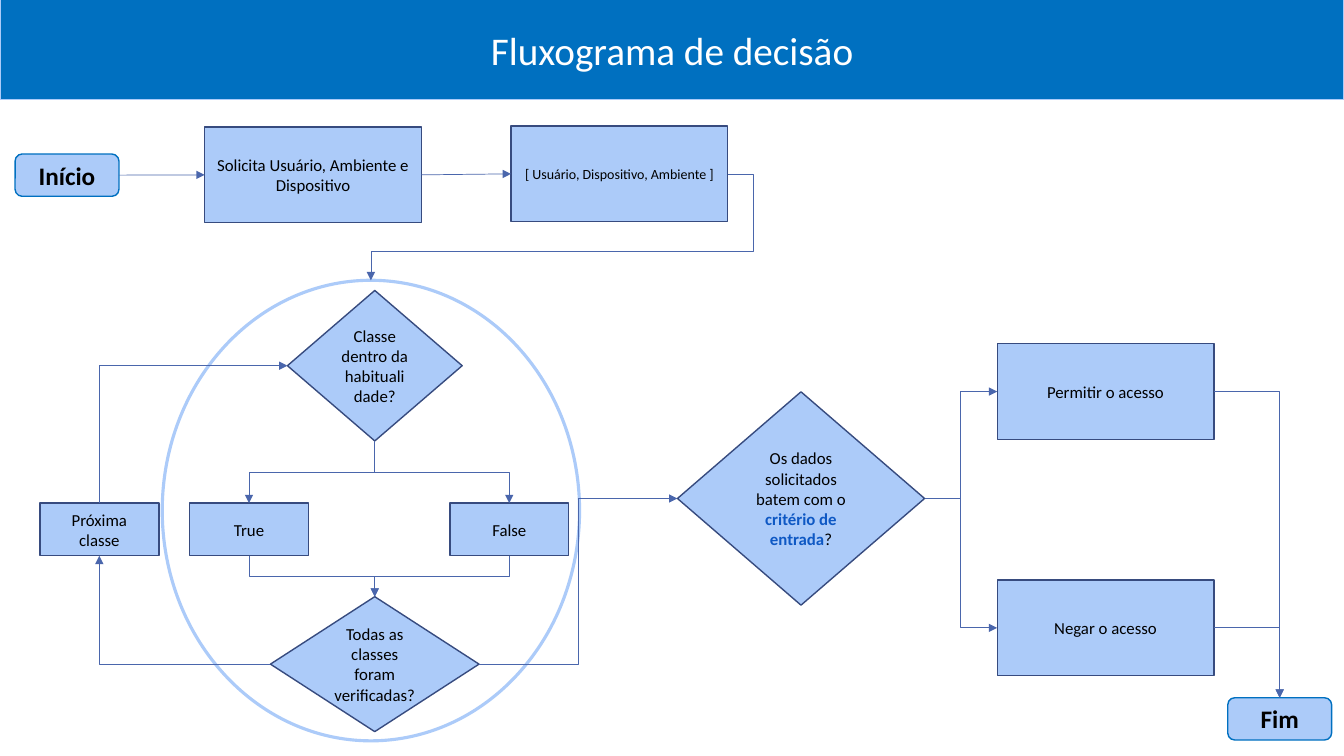
from typing import NamedTuple

from lxml import etree
from pptx import Presentation
from pptx.dml import color
from pptx.enum import shapes, text
from pptx.oxml import ns
from pptx.util import Pt

LIGHT, NAVY, BLUE, ARROW = "ACCBF9", "374B7F", "0070C0", "4A66AC"
BLACK, WHITE, ACCENT = "000000", "FFFFFF", "0E58C4"
TOP, LEFT, BOTTOM, RIGHT = range(4)
RECT = shapes.MSO_SHAPE.RECTANGLE
ROUND = shapes.MSO_SHAPE.ROUNDED_RECTANGLE
DIAMOND = shapes.MSO_SHAPE.DIAMOND
OVAL = shapes.MSO_SHAPE.OVAL
TERMINAL, STEP, SMALL = (74.2, 30.2), (154.8, 68.4), (85, 37.6)
SMALL_TOP = 359.4


class Run(NamedTuple):
    text: str
    color: str = BLACK
    bold: bool = False


class Node(NamedTuple):
    name: str
    kind: shapes.MSO_SHAPE
    left: float
    top: float
    size: tuple[float, float]
    runs: tuple[Run, ...] = ()
    font_size: float = 12
    fill: str | None = LIGHT
    line: str = NAVY
    line_width: float = 1


class Link(NamedTuple):
    source: str
    source_side: int
    target: str
    target_side: int
    preset: str = "bentConnector3"
    adjustments: tuple[int, ...] = ()


NODES = [
    Node("loop", OVAL, 115.9, 200.2, (298.1, 329), fill=None, line=LIGHT, line_width=2.25),
    Node("title", RECT, 0, -0.7, (960, 72), (Run("Fluxograma de decisão", WHITE),), 28, BLUE, LIGHT),
    Node("start", ROUND, 10.8, 110, TERMINAL, (Run("Início", bold=True),), 18, line=BLUE),
    Node("end", ROUND, 877, 498.4, TERMINAL, (Run("Fim", bold=True),), 18, line=BLUE),
    Node("request", RECT, 146.2, 90.7, STEP, (Run("Solicita Usuário, Ambiente e Dispositivo"),)),
    Node("tuple", RECT, 365, 90, STEP, (Run("[ Usuário, Dispositivo, Ambiente ]"),), 10),
    Node("habitual", DIAMOND, 205.3, 207.5, (124.8, 107.5), (Run("Classe dentro da habitualidade?"),)),
    Node("checked", DIAMOND, 193.2, 426.2, (149, 96.4), (Run("Todas as classes foram verificadas?"),)),
    Node("criterion", DIAMOND, 483.9, 279.9, (176.5, 152.4), (
        Run("Os dados solicitados batem com o "),
        Run("critério de entrada", ACCENT, True),
        Run("?"),
    )),
    Node("next", RECT, 28.5, SMALL_TOP, SMALL, (Run("Próxima classe"),)),
    Node("true", RECT, 135.4, SMALL_TOP, SMALL, (Run("True"),)),
    Node("false", RECT, 321.3, SMALL_TOP, SMALL, (Run("False"),)),
    Node("allow", RECT, 712.3, 245.5, STEP, (Run("Permitir o acesso"),)),
    Node("deny", RECT, 712.3, 414.3, STEP, (Run("Negar o acesso"),)),
]

LINKS = [
    Link("start", RIGHT, "request", LEFT, "straightConnector1"),
    Link("request", RIGHT, "tuple", LEFT, "straightConnector1"),
    Link("tuple", RIGHT, "loop", TOP, "bentConnector4", (-7100, 72500)),
    Link("habitual", BOTTOM, "true", TOP),
    Link("habitual", BOTTOM, "false", TOP),
    Link("true", BOTTOM, "checked", TOP),
    Link("false", BOTTOM, "checked", TOP),
    Link("checked", RIGHT, "criterion", LEFT),
    Link("checked", LEFT, "next", BOTTOM, "bentConnector2"),
    Link("next", TOP, "habitual", LEFT, "bentConnector2"),
    Link("criterion", RIGHT, "allow", LEFT),
    Link("criterion", RIGHT, "deny", LEFT),
    Link("allow", RIGHT, "end", TOP, "bentConnector2"),
    Link("deny", RIGHT, "end", TOP, "bentConnector2"),
]


def paint(target, hex_color: str) -> None:
    target.rgb = color.RGBColor.from_string(hex_color)


def add_node(slide, node: Node):
    shape = slide.shapes.add_shape(node.kind, *map(Pt, (node.left, node.top, *node.size)))
    shape.shadow.inherit = False
    if node.fill:
        shape.fill.solid()
        paint(shape.fill.fore_color, node.fill)
    else:
        shape.fill.background()
    paint(shape.line.color, node.line)
    shape.line.width = Pt(node.line_width)
    frame = shape.text_frame
    frame.word_wrap = True
    frame.vertical_anchor = text.MSO_ANCHOR.MIDDLE
    paragraph = frame.paragraphs[0]
    paragraph.alignment = text.PP_ALIGN.CENTER
    paragraph.font.name = "Calibri"
    paragraph.font.size = Pt(node.font_size)
    for part in node.runs:
        run = paragraph.add_run()
        run.text = part.text
        run.font.bold = part.bold
        paint(run.font.color, part.color)
    return shape


def turn_vertical(connector) -> None:
    across = connector.end_x - connector.begin_x
    down = connector.end_y - connector.begin_y
    center_x = (connector.begin_x + connector.end_x) // 2
    center_y = (connector.begin_y + connector.end_y) // 2
    connector.width, connector.height = abs(down), abs(across)
    connector.left = center_x - abs(down) // 2
    connector.top = center_y - abs(across) // 2
    frame = connector.element.spPr.xfrm
    frame.set("rot", str((270 if across > 0 and down > 0 else 90) * 60000))
    frame.set("flipH", str(int(across > 0)))
    frame.set("flipV", str(int(down < 0)))


def add_link(slide, nodes: dict, link: Link) -> None:
    connector = slide.shapes.add_connector(shapes.MSO_CONNECTOR.ELBOW, 0, 0, 0, 0)
    connector.begin_connect(nodes[link.source], link.source_side)
    connector.end_connect(nodes[link.target], link.target_side)
    if link.source_side in (TOP, BOTTOM):
        turn_vertical(connector)
    paint(connector.line.color, ARROW)
    connector.line.width = Pt(0.5)
    properties = connector.element.spPr
    geometry = properties.find(ns.qn("a:prstGeom"))
    geometry.set("prst", link.preset)
    guides = geometry.find(ns.qn("a:avLst"))
    for number, value in enumerate(link.adjustments, 1):
        etree.SubElement(guides, ns.qn("a:gd"), name=f"adj{number}", fmla=f"val {value}")
    etree.SubElement(properties.find(ns.qn("a:ln")), ns.qn("a:tailEnd"), type="triangle")
    etree.SubElement(properties, ns.qn("a:effectLst"))


presentation = Presentation()
presentation.slide_width, presentation.slide_height = Pt(960), Pt(540)
slide = presentation.slides.add_slide(presentation.slide_layouts[6])
nodes = {node.name: add_node(slide, node) for node in NODES}
for link in LINKS:
    add_link(slide, nodes, link)
presentation.save("out.pptx")
